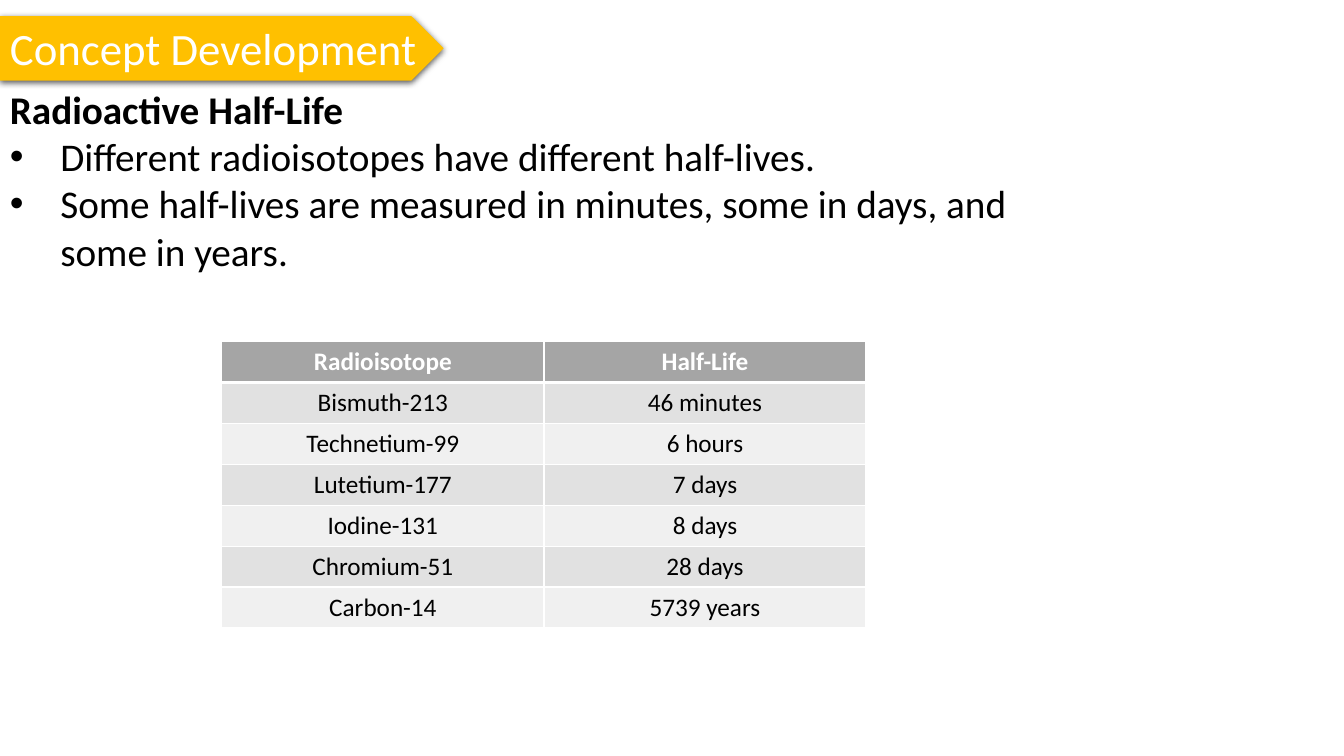
"""Build the Radioactive Half-Life slide with its table of radioisotopes."""
from dataclasses import dataclass

from lxml.etree import SubElement
from pptx import Presentation
from pptx.dml.color import RGBColor
from pptx.enum.shapes import MSO_SHAPE
from pptx.enum.text import MSO_ANCHOR, MSO_AUTO_SIZE, PP_ALIGN
from pptx.oxml import parse_xml
from pptx.oxml.ns import nsdecls, qn
from pptx.util import Inches, Pt

FONT = "Calibri"
WHITE = RGBColor(0xFF, 0xFF, 0xFF)
BLACK = RGBColor(0x00, 0x00, 0x00)
GOLD = RGBColor(0xFF, 0xC0, 0x00)
HEADER_GRAY = RGBColor(0xA5, 0xA5, 0xA5)
BAND_GRAYS = (RGBColor(0xE1, 0xE1, 0xE1), RGBColor(0xF0, 0xF0, 0xF0))


@dataclass(frozen=True)
class TextStyle:
    size: int
    color: RGBColor
    bold: bool = False


@dataclass(frozen=True)
class BodyLine:
    text: str
    style: TextStyle
    bulleted: bool


@dataclass(frozen=True)
class IsotopeRow:
    isotope: str
    half_life: str


BANNER_STYLE = TextStyle(32, WHITE)
HEADING_STYLE = TextStyle(28, BLACK, True)
BODY_STYLE = TextStyle(28, BLACK)
HEADER_STYLE = TextStyle(18, WHITE, True)
CELL_STYLE = TextStyle(18, BLACK)

BODY_LINES = (
    BodyLine("Radioactive Half-Life", HEADING_STYLE, False),
    BodyLine("Different radioisotopes have different half-lives.", BODY_STYLE, True),
    BodyLine(
        "Some half-lives are measured in minutes, some in days, and some in years.",
        BODY_STYLE,
        True,
    ),
)
ISOTOPE_ROWS = (
    IsotopeRow("Radioisotope", "Half-Life"),
    IsotopeRow("Bismuth-213", "46 minutes"),
    IsotopeRow("Technetium-99", "6 hours"),
    IsotopeRow("Lutetium-177", "7 days"),
    IsotopeRow("Iodine-131", "8 days"),
    IsotopeRow("Chromium-51", "28 days"),
    IsotopeRow("Carbon-14", "5739 years"),
)


def add_styled_run(paragraph, text: str, style: TextStyle) -> None:
    run = paragraph.add_run()
    run.text = text
    run.font.name = FONT
    run.font.size = Pt(style.size)
    run.font.bold = style.bold
    run.font.color.rgb = style.color


def add_shadow(shape) -> None:
    shape.shadow.inherit = False
    effects = shape.element.spPr.find(qn("a:effectLst"))
    effects.append(parse_xml(
        f'<a:outerShdw {nsdecls("a")} blurRad="{Pt(4.5)}" dist="{Pt(1.5)}" '
        'dir="5400000" algn="ctr" rotWithShape="0">'
        '<a:srgbClr val="000000"><a:alpha val="63000"/></a:srgbClr></a:outerShdw>'
    ))


def add_bullet(paragraph) -> None:
    properties = paragraph._p.get_or_add_pPr()
    properties.set("marL", str(Inches(0.5)))
    properties.set("indent", str(-Inches(0.5)))
    SubElement(properties, qn("a:buFont"), typeface="Arial")
    SubElement(properties, qn("a:buChar"), char="•")


def add_banner(slide) -> None:
    shape = slide.shapes.add_shape(
        MSO_SHAPE.PENTAGON, Inches(0), Inches(0.16), Inches(4.4), Inches(0.64)
    )
    shape.fill.solid()
    shape.fill.fore_color.rgb = GOLD
    shape.line.fill.background()
    add_shadow(shape)
    frame = shape.text_frame
    frame.word_wrap = False
    frame.auto_size = MSO_AUTO_SIZE.SHAPE_TO_FIT_TEXT
    frame.vertical_anchor = MSO_ANCHOR.TOP
    paragraph = frame.paragraphs[0]
    paragraph.alignment = PP_ALIGN.LEFT
    add_styled_run(paragraph, "Concept Development", BANNER_STYLE)


def add_body(slide) -> None:
    shape = slide.shapes.add_textbox(Inches(0), Inches(0.8), Inches(10.36), Inches(1.99))
    frame = shape.text_frame
    frame.word_wrap = True
    frame.auto_size = MSO_AUTO_SIZE.SHAPE_TO_FIT_TEXT
    for index, line in enumerate(BODY_LINES):
        paragraph = frame.add_paragraph() if index else frame.paragraphs[0]
        if line.bulleted:
            add_bullet(paragraph)
        add_styled_run(paragraph, line.text, line.style)


def set_borders(cell, top: int, bottom: int) -> None:
    properties = cell._tc.get_or_add_tcPr()
    for side, width in (("L", 1), ("R", 1), ("T", top), ("B", bottom)):
        border = SubElement(properties, qn(f"a:ln{side}"), w=str(Pt(width)))
        fill = SubElement(border, qn("a:solidFill"))
        SubElement(fill, qn("a:srgbClr"), val=str(WHITE))


def add_isotope_table(slide) -> None:
    row_count = len(ISOTOPE_ROWS)
    table = slide.shapes.add_table(
        row_count, 2, Inches(2.2), Inches(3.39), Inches(6.39), Inches(2.84)
    ).table
    for row_index, entry in enumerate(ISOTOPE_ROWS):
        is_header = row_index == 0
        for column_index, text in enumerate((entry.isotope, entry.half_life)):
            cell = table.cell(row_index, column_index)
            set_borders(cell, 3 if row_index == 1 else 1, 3 if is_header else 1)
            cell.fill.solid()
            cell.fill.fore_color.rgb = (
                HEADER_GRAY if is_header else BAND_GRAYS[(row_index - 1) % 2]
            )
            paragraph = cell.text_frame.paragraphs[0]
            paragraph.alignment = PP_ALIGN.CENTER
            add_styled_run(paragraph, text, HEADER_STYLE if is_header else CELL_STYLE)


def main() -> None:
    presentation = Presentation()
    presentation.slide_width = Inches(13.33)
    presentation.slide_height = Inches(7.5)
    slide = presentation.slides.add_slide(presentation.slide_layouts[6])
    add_banner(slide)
    add_body(slide)
    add_isotope_table(slide)
    presentation.save("out.pptx")


if __name__ == "__main__":
    main()
